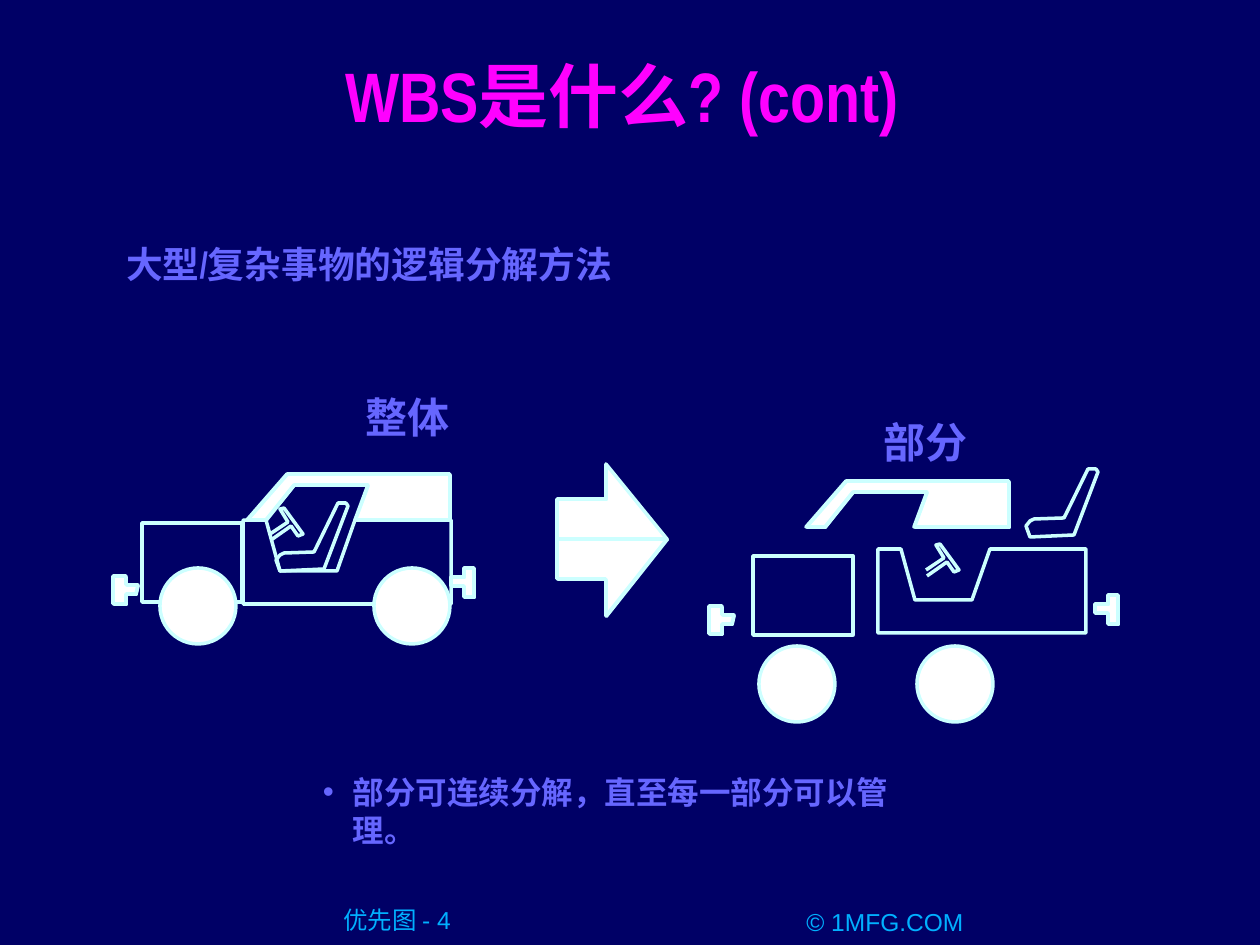
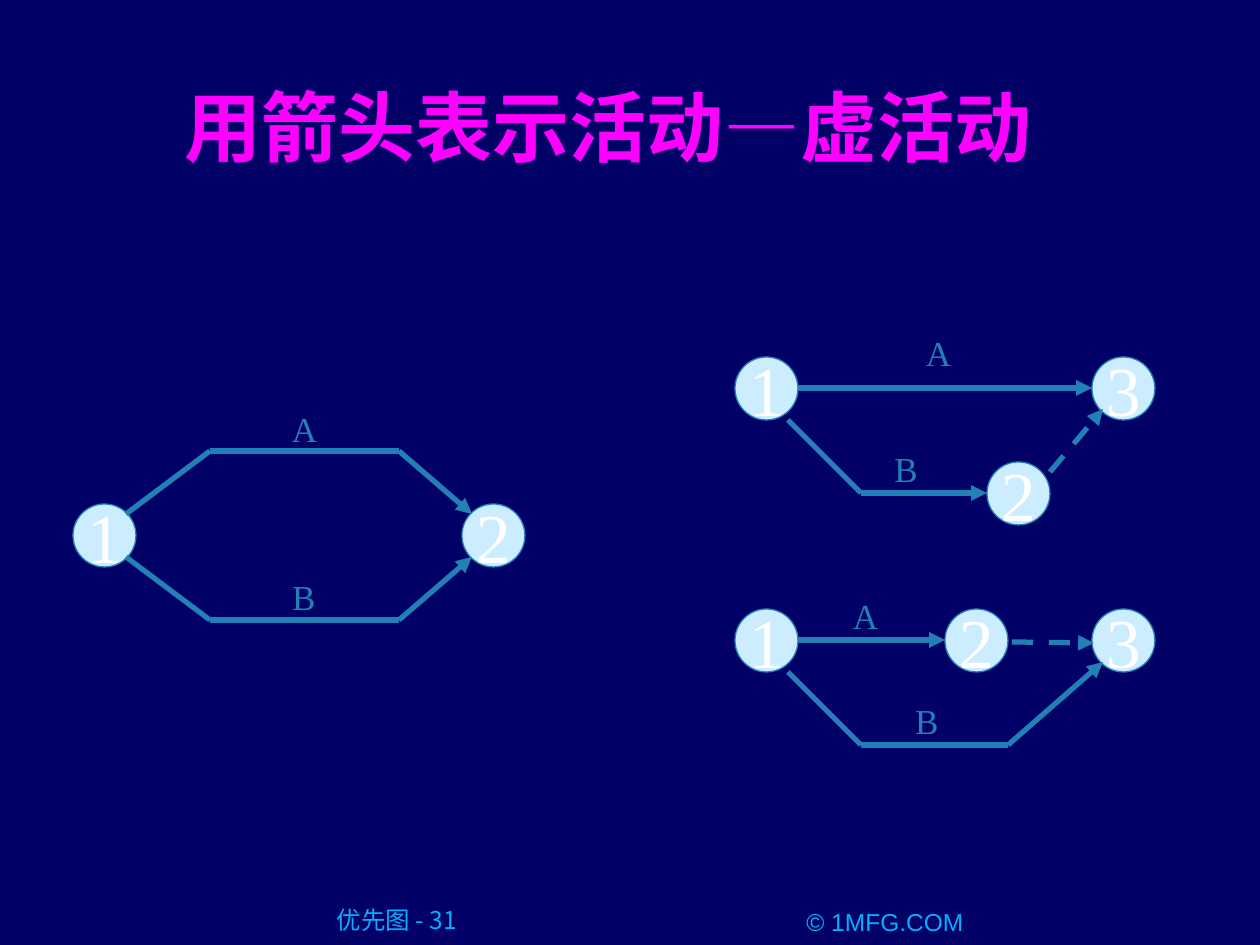
from itertools import pairwise

from lxml import etree
from pptx import Presentation
from pptx import util as u
from pptx.dml.color import RGBColor
from pptx.enum import dml, shapes, text
from pptx.oxml.ns import qn

PX = 914400 / 126  # EMU in one px

NAVY = RGBColor(0x00, 0x00, 0x66)
PINK = RGBColor(0xFF, 0x00, 0xFF)
VIOLET = RGBColor(0x66, 0x66, 0xFF)
SKY = RGBColor(0x01, 0xB0, 0xFF)
ICE = RGBColor(0xCC, 0xFF, 0xFF)
PALE = RGBColor(0xCC, 0xEC, 0xFF)
TEAL = RGBColor(0x21, 0x81, 0xB7)
WHITE = RGBColor(0xFF, 0xFF, 0xFF)

CJK, SANS, NARROW, SERIF = "Noto Sans CJK JP", "Arial", "Arial Narrow", "Times New Roman"
LEFT, CENTER = text.PP_ALIGN.LEFT, text.PP_ALIGN.CENTER

TITLE = dict(color=PINK, bold=True)
NOTE = dict(font=NARROW, color=VIOLET, bold=True)
FOOT = dict(size=14, color=SKY, ea=CJK, align=CENTER, inset=(0, 0))

# Outlines of the car parts, each from its own top left corner
BODY = [(0, 0), (0, 84), (208, 84), (208, 0), (112, 0), (94, 51), (37, 51), (23, 0)]
ROOF = [(0, 46), (40, 0), (203, 0), (203, 46), (108, 46), (121, 11), (47, 11), (19, 46)]
SEAT = [(48, 66), (72, 3), (70, 0), (62, 0), (40, 45), (38, 49), (8, 50), (4, 52),
        (0, 57), (4, 68)]
STEER = [(0, 26), (18, 14), (10, 1), (14, 0), (33, 26), (28, 28), (21, 18), (1, 32)]
FRONT = [(25, 9), (13, 9), (13, 0), (0, 0), (0, 28), (13, 28), (13, 18), (23, 18)]
REAR = [(0, 9), (13, 9), (13, 0), (23, 0), (23, 29), (13, 29), (13, 18), (0, 18)]
UPPER = [(0, 75), (0, 35), (49, 35), (49, 0), (110, 75)]
LOWER = [(0, 0), (0, 40), (49, 40), (49, 77), (110, 0)]

WHOLE = dict(rear=(338, 94), body=(130, 46), hood=(29, 49), wheels=[(47, 94), (261, 94)],
             front=(0, 102), roof=(134, 0), steer=(157, 34), seat=(163, 29))
PARTS = dict(rear=(386, 126), body=(169, 80), hood=(44, 87), wheels=[(50, 177), (208, 177)],
             front=(0, 137), roof=(97, 12), steer=(217, 75), seat=(317, 0))


def emu(*vals):
    return [u.Emu(round(v * PX)) for v in vals]


def assign(obj, **vals):
    for key, val in vals.items():
        setattr(obj, key, val)


def write(frame, words, size, font, color, bold=False, ea=None, align=LEFT,
          inset=(13, 6), wrap=False, anchor=text.MSO_ANCHOR.TOP):
    """Fill a text frame with one paragraph; ea names the East Asian font."""
    side, top = emu(*inset)
    assign(frame, word_wrap=wrap, vertical_anchor=anchor, margin_left=side,
           margin_right=side, margin_top=top, margin_bottom=top)
    para = frame.paragraphs[0]
    para.alignment = align
    run = para.add_run()
    run.text = words
    assign(run.font, size=u.Pt(size), name=font, bold=bold)
    run.font.color.rgb = color
    props = run.font._element
    props.find(qn("a:latin")).addnext(
        props.makeelement(qn("a:ea"), {"typeface": ea or font}))
    return para


def label(slide, box, words, **form):
    frame = slide.shapes.add_textbox(*emu(*box)).text_frame
    return write(frame, words, **form)


def bullet(para, indent):
    props = para._p.get_or_add_pPr()
    (step,) = emu(indent)
    props.set("marL", str(step))
    props.set("indent", str(-step))
    etree.SubElement(props, qn("a:buFont"), typeface=SANS)
    etree.SubElement(props, qn("a:buChar"), char="•")


def paint(shape, fill, line, width):
    shape.shadow.inherit = False
    if fill is None:
        shape.fill.background()
    else:
        shape.fill.solid()
        shape.fill.fore_color.rgb = fill
    shape.line.color.rgb = line
    shape.line.width = u.Pt(width)


def outline(slide, x, y, points, fill=None, close=True, width=2):
    spots = [(x + dx, y + dy) for dx, dy in points]
    pen = slide.shapes.build_freeform(*spots[0], scale=PX)
    pen.add_line_segments(spots[1:], close=close)
    paint(pen.convert_to_shape(), fill, ICE, width)


def solid(slide, x, y, points):
    """A white part set slightly off from its edge line."""
    outline(slide, x + 1, y + 1, points, WHITE, width=1)
    outline(slide, x, y, points)


def preset(slide, kind, box, fill, line, width):
    shape = slide.shapes.add_shape(kind, *emu(*box))
    paint(shape, fill, line, width)
    return shape


def car(slide, x, y, plan):
    def at(spot):
        return x + spot[0], y + spot[1]

    solid(slide, *at(plan["rear"]), REAR)
    outline(slide, *at(plan["body"]), BODY)
    preset(slide, shapes.MSO_SHAPE.RECTANGLE, (*at(plan["hood"]), 100, 79), None, ICE, 2)
    for spot in plan["wheels"]:
        preset(slide, shapes.MSO_SHAPE.OVAL, (*at(spot), 76, 76), WHITE, ICE, 2)
    solid(slide, *at(plan["front"]), FRONT)
    solid(slide, *at(plan["roof"]), ROOF)
    outline(slide, *at(plan["steer"]), STEER, close=False)
    outline(slide, *at(plan["seat"]), SEAT)


def arrow(slide, x, y):
    solid(slide, x, y, UPPER)
    solid(slide, x, y + 75, LOWER)


def link(slide, start, end, head, dash):
    line = slide.shapes.add_connector(
        shapes.MSO_CONNECTOR.STRAIGHT, *emu(*start, *end))
    line.line.color.rgb = TEAL
    line.line.width = u.Pt(3)
    if dash:
        line.line.dash_style = dml.MSO_LINE.DASH
    if head:
        etree.SubElement(line.line._get_or_add_ln(), qn("a:tailEnd"), type="triangle")
    etree.SubElement(line._element.spPr, qn("a:effectLst"))


def network(slide, x, y, nodes, paths, dummy, names):
    """Numbered events, activity paths ending in an arrow, and a dashed dummy path."""
    for num, (dx, dy) in nodes.items():
        node = preset(slide, shapes.MSO_SHAPE.OVAL, (x + dx, y + dy, 63, 63),
                      PALE, TEAL, 0.75)
        write(node.text_frame, num, 40, SERIF, WHITE, align=CENTER,
              anchor=text.MSO_ANCHOR.MIDDLE)
    for path in paths + dummy:
        spots = [(x + dx, y + dy) for dx, dy in path]
        for start, end in pairwise(spots):
            link(slide, start, end, end == spots[-1], path in dummy)
    for name, (dx, dy) in names.items():
        label(slide, (x + dx, y + dy, 50, 55), name, size=20, font=SERIF,
              color=TEAL, align=CENTER)


def base(deck, num, font):
    """A blank slide with the shared background and footers."""
    slide = deck.slides.add_slide(deck.slide_layouts[6])
    slide.background.fill.solid()
    slide.background.fill.fore_color.rgb = NAVY
    label(slide, (266, 905, 262, 34), f"优先图 - {num}", font=font, **FOOT)
    label(slide, (743, 907, 284, 29), "© 1MFG.COM", font=SANS, **FOOT)
    return slide


def breakdown(deck):
    slide = base(deck, 4, SANS)
    car(slide, 113, 474, WHOLE)
    arrow(slide, 557, 464)
    car(slide, 709, 469, PARTS)
    label(slide, (113, 236, 600, 57), "大型/复杂事物的逻辑分解方法", size=21, **NOTE)
    label(slide, (353, 386, 150, 63), "整体", size=24, **NOTE)
    label(slide, (871, 411, 150, 63), "部分", size=24, **NOTE)
    para = label(slide, (310, 767, 610, 86), "部分可连续分解，直至每一部分可以管理。",
                 size=18, font=SANS, color=VIOLET, bold=True, wrap=True)
    bullet(para, 30)
    label(slide, (332, 47, 700, 96), "WBS是什么? (cont)", size=40, font=NARROW, **TITLE)


def dummies(deck):
    slide = base(deck, 31, CJK)
    label(slide, (73, 73, 1071, 95), "用箭头表示活动—虚活动", size=44, font=SERIF,
          ea=CJK, align=CENTER, wrap=True, **TITLE)
    network(slide, 73, 400, {"1": (0, 104), "2": (389, 104)},
            [[(53, 114), (137, 51), (326, 51), (399, 114)],
             [(53, 157), (137, 220), (326, 220), (399, 157)]],
            [], {"A": (206, 1), "B": (206, 169)})
    network(slide, 735, 325, {"1": (0, 32), "3": (357, 32), "2": (252, 137)},
            [[(63, 63), (357, 63)], [(53, 95), (126, 168), (252, 168)]],
            [[(315, 147), (368, 84)]], {"A": (178, 0), "B": (146, 116)})
    network(slide, 735, 588, {"1": (0, 21), "2": (210, 21), "3": (357, 21)},
            [[(63, 52), (210, 52)], [(53, 84), (126, 157), (273, 157), (368, 74)]],
            [[(277, 54), (359, 55)]], {"A": (105, 0), "B": (167, 105)})


def main():
    deck = Presentation()
    deck.slide_width, deck.slide_height = emu(1260, 945)
    breakdown(deck)
    dummies(deck)
    deck.save("out.pptx")


if __name__ == "__main__":
    main()
